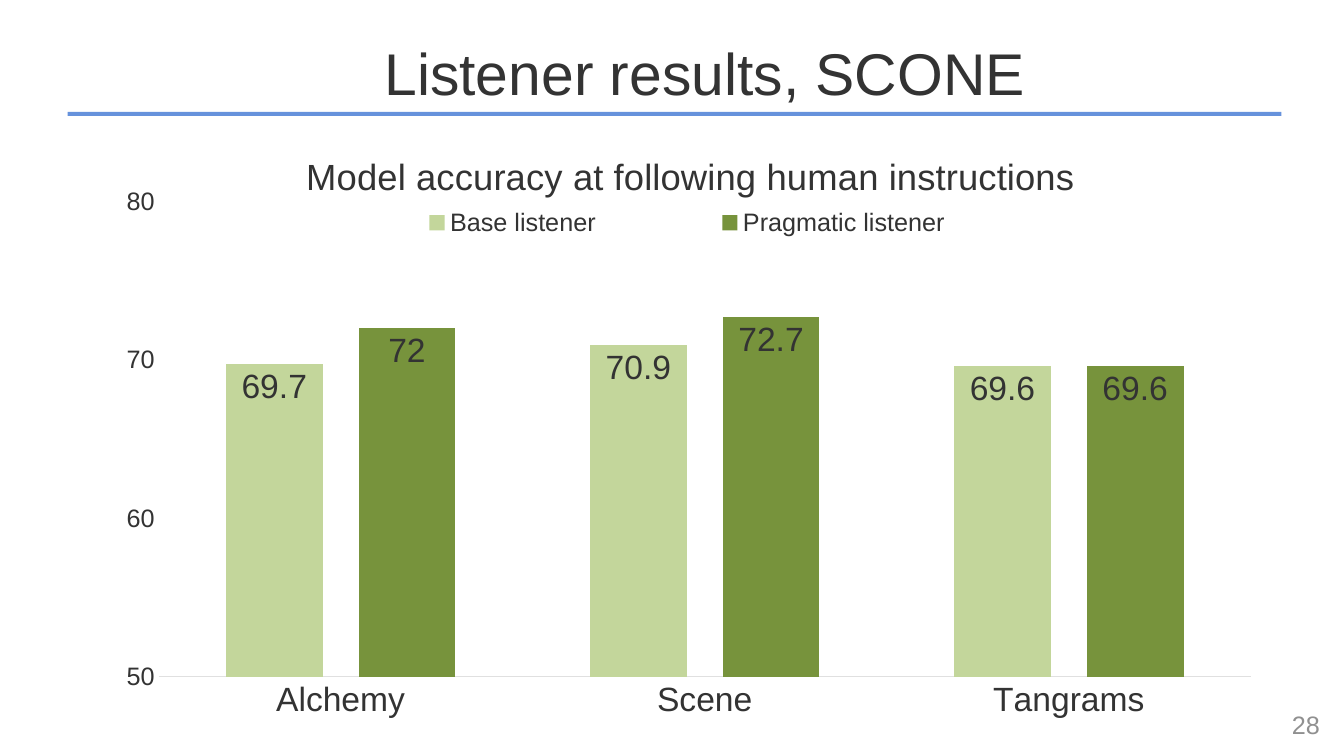
from lxml import etree
from pptx import Presentation
from pptx.chart.data import CategoryChartData
from pptx.dml.color import RGBColor
from pptx.enum.chart import XL_CHART_TYPE, XL_LABEL_POSITION, XL_LEGEND_POSITION, XL_TICK_MARK
from pptx.enum.shapes import MSO_SHAPE
from pptx.enum.text import MSO_ANCHOR, PP_ALIGN
from pptx.oxml.ns import qn
from pptx.util import Inches, Pt

COLUMNS = XL_CHART_TYPE.COLUMN_CLUSTERED
INSIDE_END = XL_LABEL_POSITION.INSIDE_END
LEGEND_BOTTOM = XL_LEGEND_POSITION.BOTTOM
NO_TICK = XL_TICK_MARK.NONE
RECTANGLE = MSO_SHAPE.RECTANGLE
MIDDLE = MSO_ANCHOR.MIDDLE
CENTER, RIGHT = PP_ALIGN.CENTER, PP_ALIGN.RIGHT

INK = RGBColor(0x33, 0x33, 0x33)
GREY = RGBColor(0x90, 0x90, 0x90)
BLUE = RGBColor(0x66, 0x92, 0xDC)
AXIS_GREY = RGBColor(0xE0, 0xE0, 0xE0)
LIGHT_GREEN = RGBColor(0xC3, 0xD6, 0x9B)
DARK_GREEN = RGBColor(0x77, 0x93, 0x3C)

TASKS = ["Alchemy", "Scene", "Tangrams"]
LISTENERS = [
    ("Base listener", [69.7, 70.9, 69.6], LIGHT_GREEN),
    ("Pragmatic listener", [72, 72.7, 69.6], DARK_GREEN),
]


def place_chart_part(element, index, **fractions):
    """Fix a chart part at fractions of the chart area."""
    for old in element.findall(qn("c:layout")):
        element.remove(old)
    layout = etree.Element(qn("c:layout"))
    manual = etree.SubElement(layout, qn("c:manualLayout"))
    if element.tag == qn("c:plotArea"):
        etree.SubElement(manual, qn("c:layoutTarget")).set("val", "inner")
    for mode in ("xMode", "yMode"):
        etree.SubElement(manual, qn("c:" + mode)).set("val", "edge")
    for name, value in fractions.items():
        etree.SubElement(manual, qn("c:" + name)).set("val", str(value))
    element.insert(index, layout)


class SlideBuilder:
    font_name = "Arial"

    def __init__(self, page):
        self.page = page

    def style(self, font, size, color=INK):
        font.name = self.font_name
        font.size = Pt(size)
        font.bold = False
        font.color.rgb = color

    def fill_text(self, frame, text, size, align, color=INK):
        frame.word_wrap = True
        frame.vertical_anchor = MIDDLE
        para = frame.paragraphs[0]
        para.alignment = align
        span = para.add_run()
        span.text = text
        self.style(span.font, size, color)

    def title(self, text, left, top, width, height):
        box = self.page.shapes.title
        box.left, box.top = Inches(left), Inches(top)
        box.width, box.height = Inches(width), Inches(height)
        self.fill_text(box.text_frame, text, 42, CENTER)

    def text(self, text, left, top, width, height, size, align, color):
        box = self.page.shapes.add_textbox(
            Inches(left), Inches(top), Inches(width), Inches(height))
        self.fill_text(box.text_frame, text, size, align, color)

    def bar(self, left, top, width, height, color):
        box = self.page.shapes.add_shape(
            RECTANGLE, Inches(left), Inches(top), Inches(width), Inches(height))
        box.shadow.inherit = False
        box.fill.solid()
        box.fill.fore_color.rgb = color
        box.line.fill.background()

    def column_chart(self, heading, categories, series_rows, left, top, width, height):
        data = CategoryChartData()
        data.categories = categories
        for name, values, _ in series_rows:
            data.add_series(name, values)
        chart = self.page.shapes.add_chart(
            COLUMNS, Inches(left), Inches(top), Inches(width), Inches(height), data).chart
        self.style(chart.font, 10)

        # Heading and legend
        chart.has_title = True
        span = chart.chart_title.text_frame.paragraphs[0].add_run()
        span.text = heading
        self.style(span.font, 26)
        chart.has_legend = True
        chart.legend.position = LEGEND_BOTTOM
        chart.legend.include_in_layout = False
        self.style(chart.legend.font, 18)

        # Axes
        tasks, accuracy = chart.category_axis, chart.value_axis
        for axis, size in ((tasks, 24), (accuracy, 18)):
            axis.has_major_gridlines = False
            axis.major_tick_mark = axis.minor_tick_mark = NO_TICK
            self.style(axis.tick_labels.font, size)
        tasks.format.line.color.rgb = AXIS_GREY
        tasks.format.line.width = Pt(0.75)
        accuracy.format.line.fill.background()
        accuracy.minimum_scale, accuracy.maximum_scale = 50, 80
        accuracy.major_unit = 10

        # Columns and their values
        plot = chart.plots[0]
        plot.vary_by_categories = False
        plot.gap_width, plot.overlap = 139, -37
        for series, (_, _, color) in zip(plot.series, series_rows):
            series.format.fill.solid()
            series.format.fill.fore_color.rgb = color
            labels = series.data_labels
            labels.show_value = True
            labels.position = INSIDE_END
            self.style(labels.font, 24)

        # Positions inside the chart
        plot_area = tasks._element.getparent()
        place_chart_part(plot_area, 0, x=0.05, y=0.12, w=0.93, h=0.77)
        place_chart_part(chart.chart_title._element, 1, x=0.17, y=0.03)
        place_chart_part(chart.legend._element, 1, x=0.18, y=0.12, w=0.64, h=0.07)


def main():
    deck = Presentation()
    deck.slide_width, deck.slide_height = Inches(13.33), Inches(7.5)
    slide = SlideBuilder(deck.slides.add_slide(deck.slide_layouts[5]))

    # Header
    slide.bar(0.67, 1.11, 12.04, 0.04, BLUE)
    slide.title("Listener results, SCONE", 1.77, 0.16, 10.44, 1.1)

    # Accuracy chart
    slide.column_chart("Model accuracy at following human instructions",
                       TASKS, LISTENERS, 0.99, 1.26, 11.65, 6.13)

    # Page number
    slide.text("28", 10.08, 6.99, 3.11, 0.4, 18, RIGHT, GREY)
    deck.save("out.pptx")


if __name__ == "__main__":
    main()
